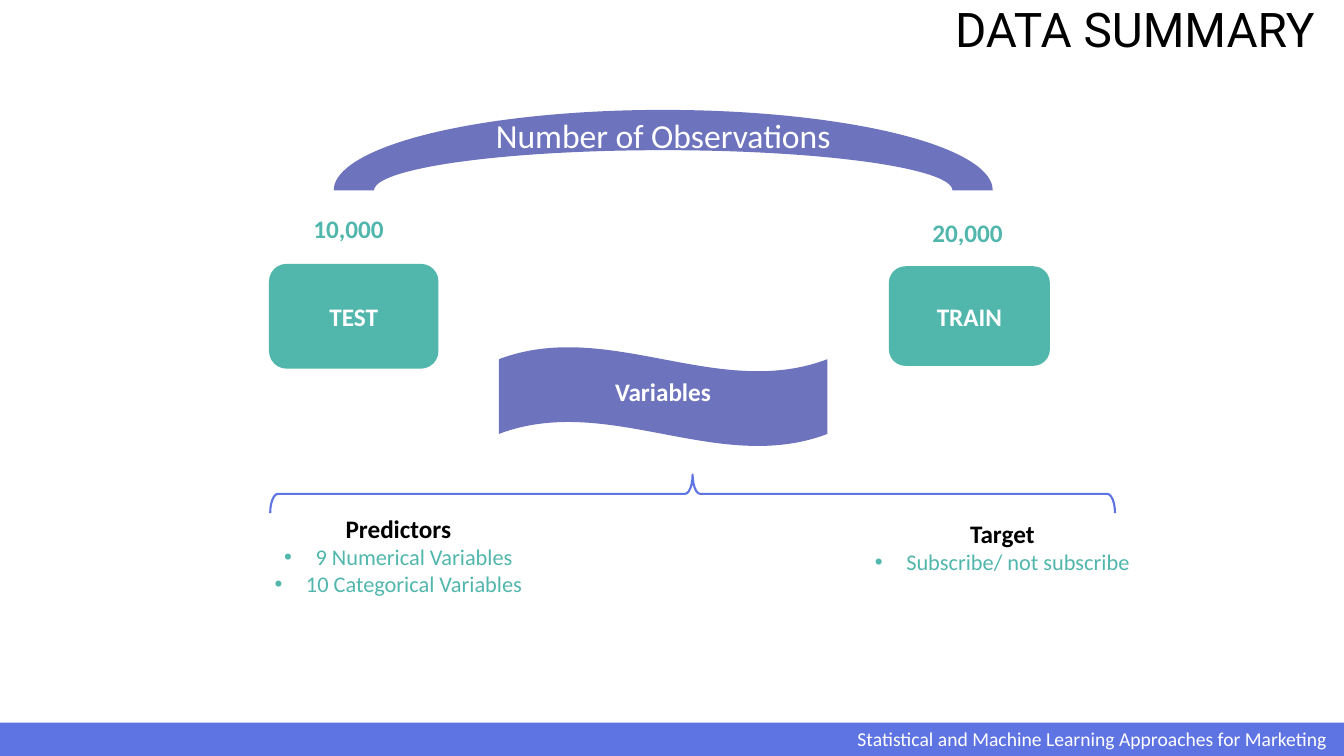
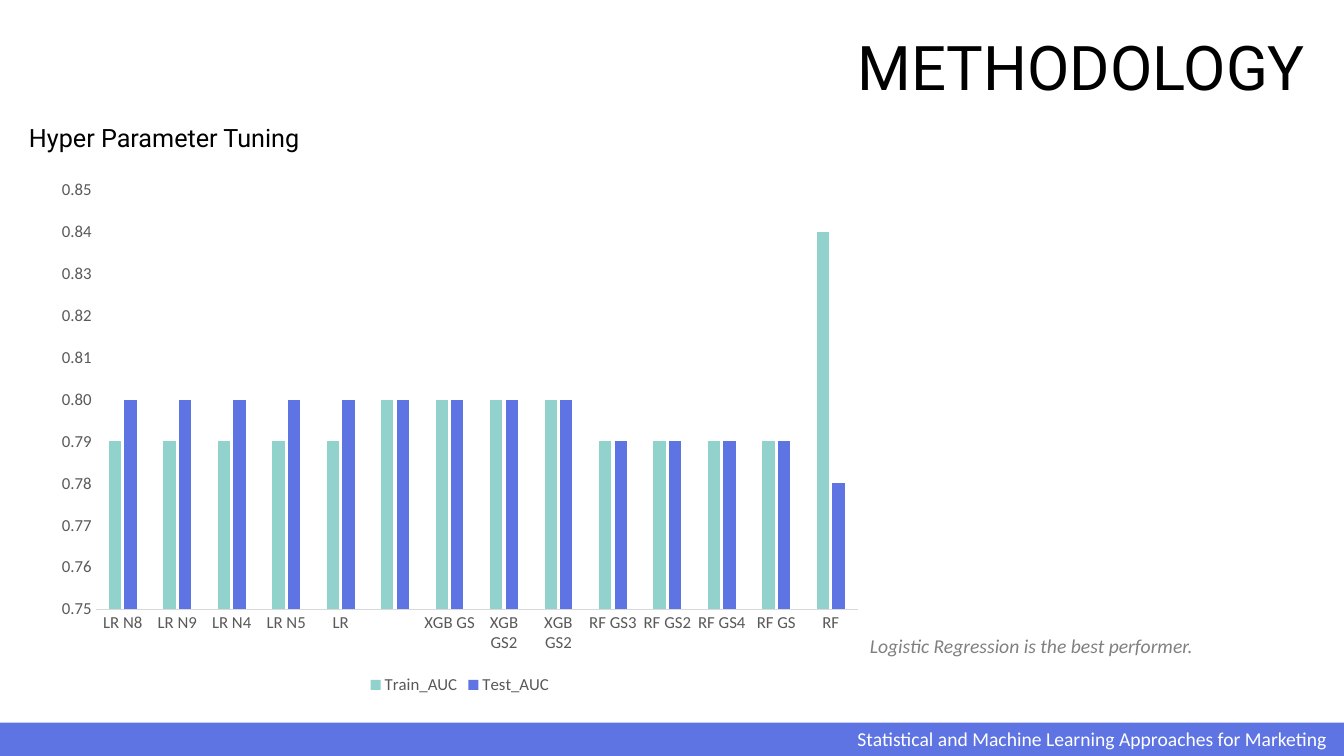
from lxml import etree
from pptx import Presentation
from pptx.chart.data import CategoryChartData
from pptx.dml.color import RGBColor
from pptx.enum.chart import XL_CHART_TYPE, XL_LEGEND_POSITION, XL_TICK_MARK
from pptx.enum.shapes import MSO_SHAPE
from pptx.enum.text import MSO_ANCHOR, PP_ALIGN
from pptx.oxml.ns import qn
from pptx.util import Cm, Pt

LEFT, CENTER, RIGHT = PP_ALIGN.LEFT, PP_ALIGN.CENTER, PP_ALIGN.RIGHT
TOP, MIDDLE = MSO_ANCHOR.TOP, MSO_ANCHOR.MIDDLE
RECTANGLE, ROUNDED = MSO_SHAPE.RECTANGLE, MSO_SHAPE.FLOWCHART_ALTERNATE_PROCESS
ARC, WAVE, BRACE = MSO_SHAPE.BLOCK_ARC, MSO_SHAPE.WAVE, MSO_SHAPE.RIGHT_BRACE
CLUSTERED = XL_CHART_TYPE.COLUMN_CLUSTERED
NO_TICK = XL_TICK_MARK.NONE
LEGEND_BOTTOM = XL_LEGEND_POSITION.BOTTOM

COLORS = {name: RGBColor.from_string(value) for name, value in {
    "black": "000000", "white": "FFFFFF", "blue": "5E74E3", "violet": "6D73BD",
    "teal": "51B7AD", "light teal": "92D2CC", "gray": "808080",
    "axis text": "595959", "axis line": "D9D9D9"}.items()}
BODY_FONT, TITLE_FONT = "Calibri", "Roboto"
WIDTH, HEIGHT, BAND = 33.87, 19.05, 0.84
FOOTER = "Statistical and Machine Learning Approaches for Marketing"


def add_block(slide, box, kind=None, fill=None):
    """Add a preset shape, or a text box when no kind is given; box is in cm."""
    place = [Cm(length) for length in box]
    if kind is None:
        block = slide.shapes.add_textbox(*place)
        block.text_frame.word_wrap = True
        return block
    block = slide.shapes.add_shape(kind, *place)
    block.shadow.inherit = False
    block.line.fill.background()
    if fill:
        block.fill.solid()
        block.fill.fore_color.rgb = COLORS[fill]
    else:
        block.fill.background()
    return block


def write(block, text, size=18, color="white", font=BODY_FONT, bold=False,
          italic=False, align=CENTER, anchor=TOP, spacing=None, bullet=False):
    """Write one paragraph, below any text the block already holds."""
    frame = block.text_frame
    frame.vertical_anchor = anchor
    paragraph = frame.add_paragraph() if frame.text else frame.paragraphs[0]
    paragraph.alignment = align
    if spacing:
        paragraph.line_spacing = spacing
    if bullet:
        properties = paragraph._p.get_or_add_pPr()
        properties.set("marL", str(Cm(0.79)))
        properties.set("indent", str(-Cm(0.79)))
        etree.SubElement(properties, qn("a:buFont")).set("typeface", "Arial")
        etree.SubElement(properties, qn("a:buChar")).set("char", "•")
    run = paragraph.add_run()
    run.text = text
    run.font.name, run.font.size = font, Pt(size)
    run.font.bold, run.font.italic = bold, italic
    run.font.color.rgb = COLORS[color]


presentation = Presentation()
presentation.slide_width, presentation.slide_height = Cm(WIDTH), Cm(HEIGHT)

# Title, band and footer on every slide
TITLES = [
    ("DATA SUMMARY", (20.02, 0.23, 13.36, 1.32), 34.1, 0.7),
    ("METHODOLOGY", (7.75, 0.51, 25.4, 2.54), 44, 0.9),
]
slides = []
for title, box, size, spacing in TITLES:
    slide = presentation.slides.add_slide(presentation.slide_layouts[6])
    write(add_block(slide, box), title, size=size, color="black",
          font=TITLE_FONT, align=RIGHT, anchor=MIDDLE, spacing=spacing)
    add_block(slide, (0, HEIGHT - BAND, WIDTH, BAND), RECTANGLE, "blue")
    footer = add_block(slide, (21.36, 18.19, 12.47, 0.86))
    footer.text_frame.word_wrap = False
    write(footer, FOOTER, size=14, align=LEFT)
    slides.append(slide)
summary, methodology = slides

# Data summary: observations
observations = add_block(summary, (8.41, 2.77, 16.61, 4.06), ARC, "violet")
observations.text_frame.margin_bottom = Cm(0.9)
write(observations, "Number of Observations", size=24, anchor=MIDDLE)

DATASETS = [
    ("TEST", (6.78, 6.65, 4.27, 2.64), "10,000", (7.06, 5.26, 3.45, 1.02)),
    ("TRAIN", (22.4, 6.71, 4.06, 2.51), "20,000", (22.66, 5.36, 3.45, 1.02)),
]
for dataset, dataset_box, count, count_box in DATASETS:
    write(add_block(summary, dataset_box, ROUNDED, "teal"), dataset,
          bold=True, anchor=MIDDLE)
    write(add_block(summary, count_box), count, color="teal", bold=True)

# Data summary: variables
variables = add_block(summary, (12.57, 8.74, 8.28, 2.51), WAVE, "violet")
write(variables, "Variables", bold=True)

brace = add_block(summary, (16.97, 1.8, 0.97, 21.29), BRACE)
brace.rotation = 270
brace.adjustments[0] = 0.2
brace.line.color.rgb = COLORS["blue"]
brace.line.width = Pt(1.5)

VARIABLE_GROUPS = [
    ("Predictors", (5.72, 12.8, 8.64, 3.18),
     ["9 Numerical Variables", "10 Categorical Variables"]),
    ("Target", (21.16, 12.93, 8.2, 2.49), ["Subscribe/ not subscribe"]),
]
for heading, box, members in VARIABLE_GROUPS:
    group = add_block(summary, box)
    write(group, heading, color="black", bold=True)
    for member in members:
        write(group, member, size=16, color="teal", bullet=True)

# Methodology
write(add_block(methodology, (0.48, 2.97, 13.31, 1.02)), "Hyper Parameter Tuning",
      color="black", font=TITLE_FONT, align=LEFT)
write(add_block(methodology, (21.67, 15.85, 11.25, 0.86)),
      "Logistic Regression is the best performer.",
      size=14, color="gray", italic=True, align=LEFT)

SCORES = [
    ("Train_AUC", "light teal", [0.79, 0.79, 0.79, 0.79, 0.79, 0.8, 0.8, 0.8, 0.8,
                                 0.79, 0.79, 0.79, 0.79, 0.84]),
    ("Test_AUC", "blue", [0.8, 0.8, 0.8, 0.8, 0.8, 0.8, 0.8, 0.8, 0.8,
                          0.79, 0.79, 0.79, 0.79, 0.78]),
]
scores = CategoryChartData(number_format="0.00")
scores.categories = ["LR N8", "LR N9", "LR N4", "LR N5", "LR", " ", "XGB GS",
                     "XGB GS2", "XGB GS2", "RF GS3", "RF GS2", "RF GS4",
                     "RF GS", "RF"]
for name, _, values in SCORES:
    scores.add_series(name, values)
chart = methodology.shapes.add_chart(
    CLUSTERED, Cm(1.14), Cm(4.27), Cm(20.9), Cm(13.34), scores).chart
chart.has_title = False
chart.font.name, chart.font.size = BODY_FONT, Pt(12)
chart.font.color.rgb = COLORS["axis text"]
chart.has_legend = True
chart.legend.position = LEGEND_BOTTOM
chart.legend.include_in_layout = False

bars = chart.plots[0]
bars.gap_width, bars.overlap = 219, -27
bars.vary_by_categories = False
for series, (_, color, _) in zip(bars.series, SCORES):
    series.format.fill.solid()
    series.format.fill.fore_color.rgb = COLORS[color]

model_axis, auc_axis = chart.category_axis, chart.value_axis
for axis in (model_axis, auc_axis):
    axis.major_tick_mark = axis.minor_tick_mark = NO_TICK
    axis.has_major_gridlines = False
model_axis.format.line.color.rgb = COLORS["axis line"]
model_axis.format.line.width = Pt(0.75)
auc_axis.format.line.fill.background()
auc_axis.minimum_scale, auc_axis.maximum_scale = 0.75, 0.85
auc_axis.major_unit = 0.01
auc_axis.tick_labels.number_format = "0.00"
auc_axis.tick_labels.number_format_is_linked = False

presentation.save("out.pptx")
